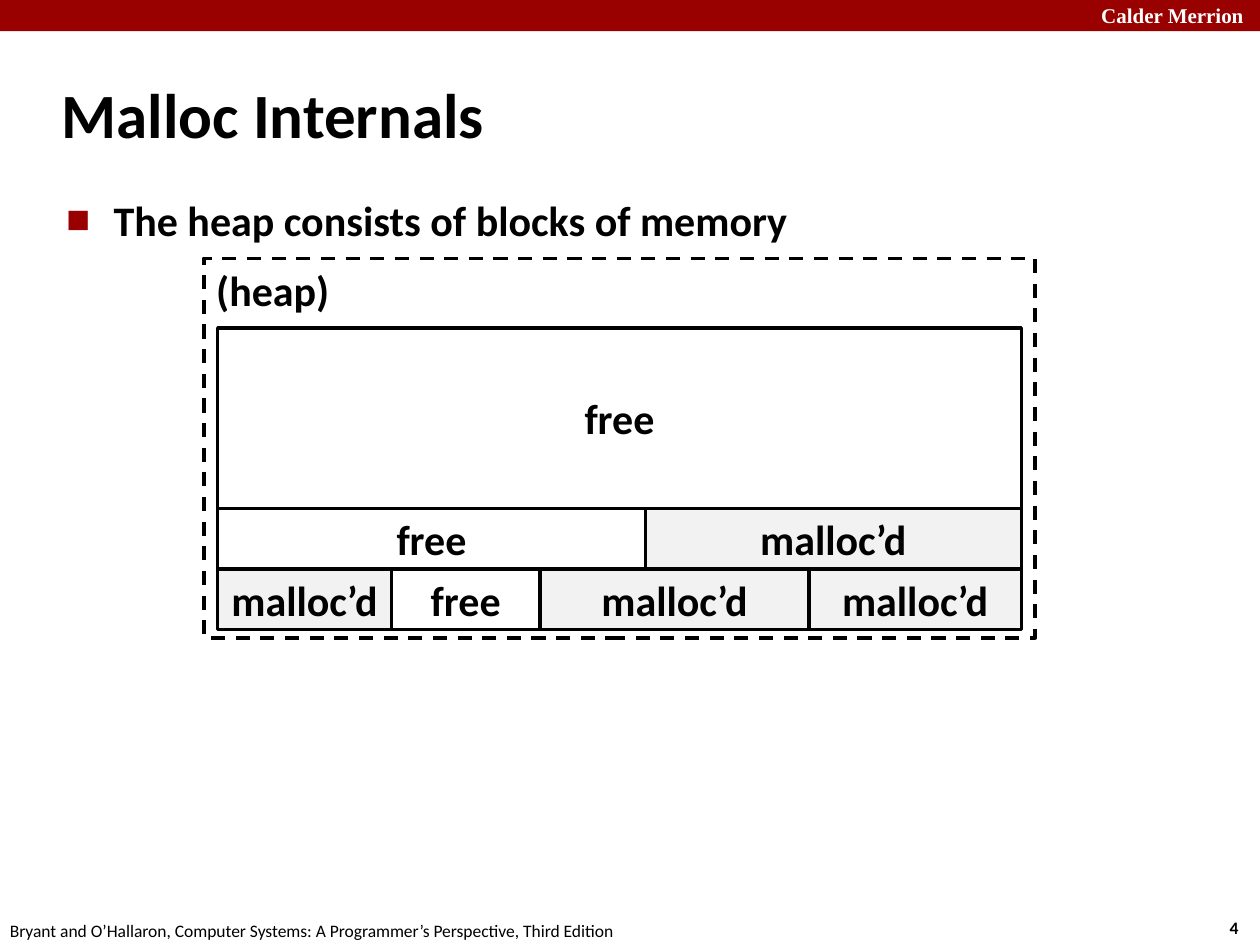
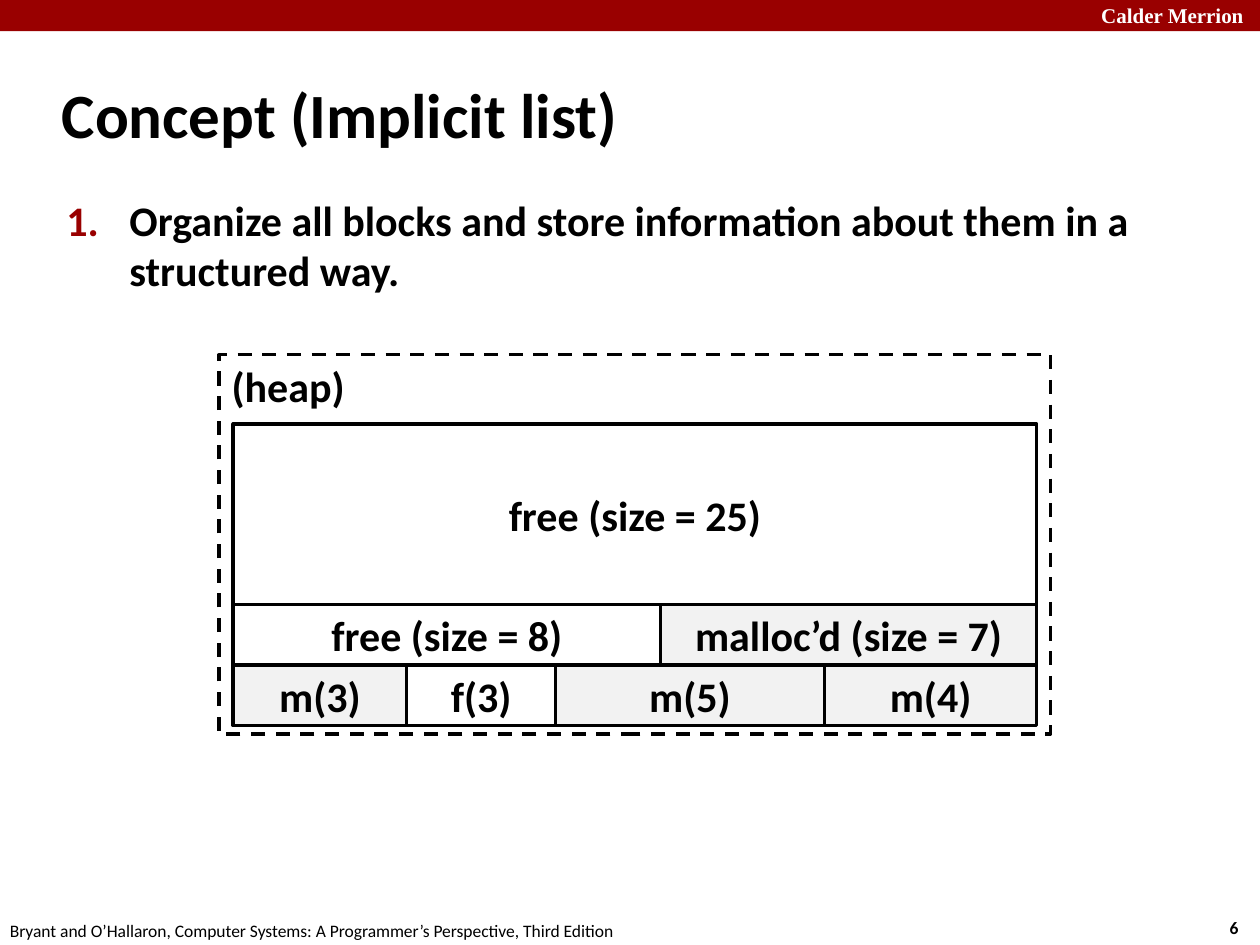
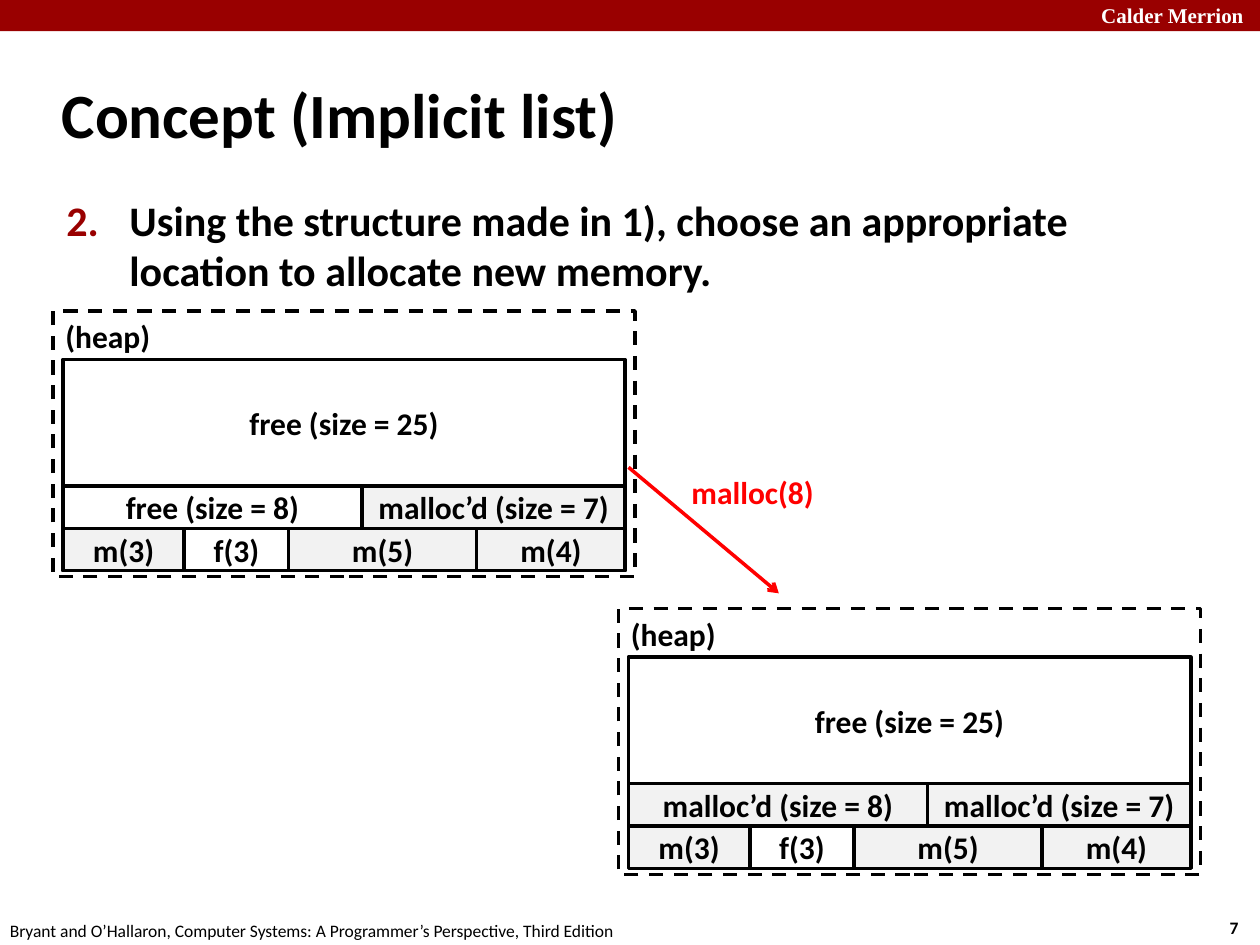
from lxml import etree
from pptx import Presentation
from pptx.dml.color import RGBColor
from pptx.enum.dml import MSO_LINE
from pptx.enum.shapes import MSO_CONNECTOR, MSO_SHAPE
from pptx.enum.text import MSO_ANCHOR as Anchor, MSO_AUTO_SIZE as AutoSize, PP_ALIGN as Align
from pptx.oxml.ns import qn
from pptx.util import Cm, Pt

# Shared colours, fonts and wording
CRIMSON = RGBColor(0x99, 0x00, 0x00)
RED = RGBColor(0xFF, 0x00, 0x00)
BLACK = RGBColor(0x00, 0x00, 0x00)
WHITE = RGBColor(0xFF, 0xFF, 0xFF)
GREY = RGBColor(0xF2, 0xF2, 0xF2)
SANS, SERIF = "Calibri", "Times New Roman"
SCHOOL = "Calder Merrion"
BOOK = ("Bryant and O’Hallaron, Computer Systems: "
        "A Programmer’s Perspective, Third Edition")

# Text formats
TITLE = {"size": Pt(36), "bold": True, "name": SANS}
BODY = {"size": Pt(24), "bold": True, "name": SANS}
SMALL = {"size": Pt(18), "bold": True, "name": SANS}
SCHOOL_MARK = {"size": Pt(12), "bold": True, "name": SERIF}
PAGE_NUMBER = {"size": Pt(10), "bold": True, "name": SANS}
FOOTER = {"size": Pt(10), "bold": False, "name": SANS}

# Full-size heap measures, in centimetres
HEAP_WIDTH, HEAP_HEIGHT = 16.76, 7.65
BLOCK_LEFT, BLOCK_TOP = 0.28, 1.4
ROW_HEIGHTS = [3.64, 1.22, 1.22]
ROW_WIDTHS = [[16.2], [8.62, 7.58], [3.5, 3.0, 5.42, 4.28]]

# Heap contents, row by row; a label starting with "m" is allocated
PLAIN_HEAP = [["free"], ["free", "malloc’d"],
              ["malloc’d", "free", "malloc’d", "malloc’d"]]
SIZED_HEAP = [["free (size = 25)"], ["free (size = 8)", "malloc’d (size = 7)"],
              ["m(3)", "f(3)", "m(5)", "m(4)"]]
FILLED_HEAP = [SIZED_HEAP[0], ["malloc’d (size = 8)", "malloc’d (size = 7)"],
               SIZED_HEAP[2]]


def set_values(target, values):
    for attribute, value in values.items():
        setattr(target, attribute, value)


def box(left, top, width, height):
    return Cm(left), Cm(top), Cm(width), Cm(height)


def write(frame, text, font, color=BLACK, align=Align.LEFT):
    paragraph = frame.paragraphs[0]
    paragraph.alignment = align
    run = paragraph.add_run()
    run.text = text
    set_values(run.font, font)
    run.font.color.rgb = color
    return paragraph


def add_text(slide, area, text, font, color=BLACK, wrap=False,
             fit=AutoSize.SHAPE_TO_FIT_TEXT):
    frame = slide.shapes.add_textbox(*box(*area)).text_frame
    set_values(frame, {"word_wrap": wrap, "auto_size": fit})
    return write(frame, text, font, color)


def add_rectangle(shapes, area, fill=None, dash=None, outlined=True):
    rectangle = shapes.add_shape(MSO_SHAPE.RECTANGLE, *box(*area))
    rectangle.shadow.inherit = False
    if fill is None:
        rectangle.fill.background()
    else:
        rectangle.fill.solid()
        rectangle.fill.fore_color.rgb = fill
    if outlined:
        rectangle.line.color.rgb = BLACK
        set_values(rectangle.line, {"width": Pt(2), "dash_style": dash})
    else:
        rectangle.line.fill.background()
    return rectangle


def set_indent(paragraph, hang):
    properties = paragraph._p.get_or_add_pPr()
    properties.set("marL", str(Cm(hang)))
    properties.set("indent", str(-Cm(hang)))
    return properties


def add_point(slide, text, number=None):
    """Body point with a square bullet, or numbered from the given number."""
    paragraph = add_text(slide, (1.09, 3.79, 21.95, 13.82), text, BODY,
                         wrap=True, fit=AutoSize.NONE)
    paragraph.space_before = Pt(4.8)
    properties = set_indent(paragraph, 1.27 if number else 0.95)
    bullet_color = etree.SubElement(properties, qn("a:buClr"))
    etree.SubElement(bullet_color, qn("a:srgbClr"), val=str(CRIMSON))
    if number:
        etree.SubElement(properties, qn("a:buFont"), typeface=SANS)
        etree.SubElement(properties, qn("a:buAutoNum"), type="arabicPeriod",
                         startAt=str(number))
    else:
        etree.SubElement(properties, qn("a:buSzPct"), val="60000")
        etree.SubElement(properties, qn("a:buFont"), typeface=SANS)
        etree.SubElement(properties, qn("a:buChar"), char="■")


def add_heap(slide, left, top, rows, scale=1.0, font=BODY):
    """Dashed heap frame holding rows of adjoining blocks."""
    heap = slide.shapes.add_group_shape().shapes
    frame = add_rectangle(heap, (left, top, HEAP_WIDTH * scale, HEAP_HEIGHT * scale),
                          dash=MSO_LINE.DASH).text_frame
    set_values(frame, {"vertical_anchor": Anchor.TOP, "word_wrap": True})
    write(frame, "(heap)", font)

    y = top + BLOCK_TOP * scale
    for labels, widths, height in zip(rows, ROW_WIDTHS, ROW_HEIGHTS):
        x = left + BLOCK_LEFT * scale
        for label, width in zip(labels, widths):
            fill = GREY if label.startswith("m") else WHITE
            block = add_rectangle(heap, (x, y, width * scale, height * scale), fill)
            set_values(block.text_frame, {
                "vertical_anchor": Anchor.MIDDLE, "word_wrap": True,
                "margin_left": 0, "margin_right": 0})
            write(block.text_frame, label, font, align=Align.CENTER)
            x += width * scale
        y += height * scale


def add_arrow(slide, start, end):
    arrow = slide.shapes.add_connector(
        MSO_CONNECTOR.STRAIGHT, *map(Cm, start), *map(Cm, end))
    arrow.line.color.rgb = RED
    arrow.line.width = Pt(2)
    etree.SubElement(arrow.line._get_or_add_ln(), qn("a:tailEnd"), type="arrow")
    etree.SubElement(arrow._element.spPr, qn("a:effectLst"))


def add_slide(deck, title, page):
    """Slide with the shared band, school name, footer, number and title."""
    slide = deck.slides.add_slide(deck.slide_layouts[5])
    add_rectangle(slide.shapes, (0, 0, 25.4, 0.63), CRIMSON, outlined=False)
    add_text(slide, (21.95, -0.08, 3.63, 0.76), SCHOOL, SCHOOL_MARK, WHITE, wrap=True)
    add_text(slide, (24.54, 18.36, 0.94, 0.69), str(page), PAGE_NUMBER)
    add_text(slide, (-0.05, 18.42, 12.9, 0.69), BOOK, FOOTER)

    heading = slide.shapes.title
    set_values(heading, dict(zip(("left", "top", "width", "height"),
                                 box(0.99, 1.22, 21.08, 2.11))))
    set_values(heading.text_frame, {"vertical_anchor": Anchor.MIDDLE,
                                    "word_wrap": True, "auto_size": AutoSize.NONE})
    set_indent(write(heading.text_frame, title, TITLE), 0.33)
    return slide


def main():
    deck = Presentation()
    set_values(deck, {"slide_width": Cm(25.4), "slide_height": Cm(19.05)})

    # Heap made of blocks
    internals = add_slide(deck, "Malloc Internals", 4)
    add_point(internals, "The heap consists of blocks of memory")
    add_heap(internals, 4.11, 5.21, PLAIN_HEAP)

    # Step 1: organize the blocks
    organize = add_slide(deck, "Concept (Implicit list)", 6)
    add_point(organize, "Organize all blocks and store information about them "
                        "in a structured way.", number=1)
    add_heap(organize, 4.42, 7.15, SIZED_HEAP)

    # Step 2: allocate, before and after
    allocate = add_slide(deck, "Concept (Implicit list)", 7)
    add_point(allocate, "Using the structure made in 1), choose an appropriate "
                        "location to allocate new memory.", number=2)
    add_heap(allocate, 1.07, 6.27, SIZED_HEAP, 0.7, SMALL)
    add_heap(allocate, 12.47, 12.27, FILLED_HEAP, 0.7, SMALL)
    add_arrow(allocate, (12.67, 9.42), (15.7, 11.96))
    add_text(allocate, (13.69, 9.42, 3.0, 1.02), "malloc(8)", SMALL, RED)

    deck.save("out.pptx")


main()
